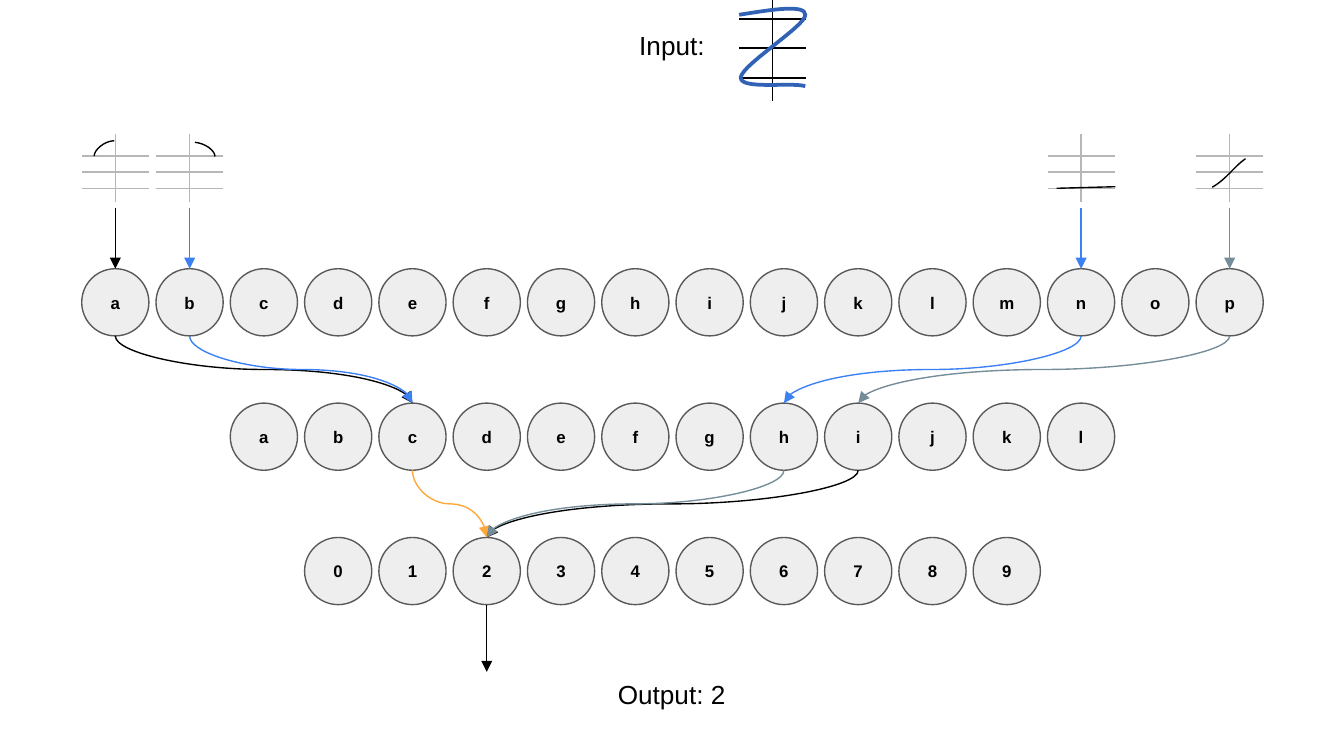
from lxml.etree import SubElement
from pptx import Presentation
from pptx.dml.color import RGBColor
from pptx.enum.shapes import MSO_CONNECTOR, MSO_SHAPE
from pptx.enum.text import MSO_ANCHOR, MSO_AUTO_SIZE, PP_ALIGN
from pptx.oxml.ns import qn
from pptx.util import Cm, Pt

BLACK = RGBColor(0x00, 0x00, 0x00)
NODE_FILL = RGBColor(0xEE, 0xEE, 0xEE)
NODE_LINE = RGBColor(0x59, 0x59, 0x59)
GUIDE = RGBColor(0xB7, 0xB7, 0xB7)
BLUE = RGBColor(0x3C, 0x81, 0xF3)
SLATE = RGBColor(0x74, 0x8D, 0x99)
ORANGE = RGBColor(0xFE, 0xA8, 0x3A)
INK = RGBColor(0x31, 0x62, 0xB5)

# All lengths below are in centimetres.
MIDDLE = 12.71
PITCH = 21.06 / 15
DIAMETER = 1.27
LAYERS = {"first": ("abcdefghijklmnop", 5.08),
          "second": ("abcdefghijkl", 7.62),
          "digits": ("0123456789", 10.16)}
LINKS = [("first", "a", "second", "c", BLACK),
         ("first", "b", "second", "c", BLUE),
         ("first", "n", "second", "h", BLUE),
         ("first", "p", "second", "i", SLATE),
         ("second", "c", "digits", "2", ORANGE),
         ("second", "i", "digits", "2", BLACK),
         ("second", "h", "digits", "2", SLATE)]

# Bezier points of each feature, measured from the top middle of its guides.
GLYPH_TOP = 2.54
MIDLINE = (GUIDE, [(-0.42, 0.71), (-0.13, 0.71), (0.16, 0.71), (0.46, 0.71)])
FEATURES = {
    "a": (BLACK, [(BLACK, [(-0.02, 0.12), (-0.22, 0.13), (-0.4, 0.3), (-0.4, 0.41)])]),
    "b": (BLUE, [(BLACK, [(0.1, 0.15), (0.29, 0.17), (0.48, 0.3), (0.48, 0.42)])]),
    "n": (BLUE, [MIDLINE, (BLACK, [(-0.46, 1.02), (-0.09, 1.01), (0.28, 1), (0.65, 0.99)])]),
    "p": (SLATE, [MIDLINE, (BLACK, [(0.3, 0.46), (0.08, 0.61), (-0.05, 0.84), (-0.33, 1)])]),
}
INPUT_MIDDLE = 14.6
INPUT_STROKE = [(-0.63, 0.28), (0, 0.18), (0.62, 0.08), (0.62, 0.28),
                (0.64, 0.48), (-0.6, 1.24), (-0.6, 1.47),
                (-0.6, 1.7), (0.36, 1.55), (0.62, 1.63)]


def style_text(frame, text, size, bold=False):
    para = frame.paragraphs[0]
    para.alignment = PP_ALIGN.CENTER
    span = para.add_run()
    span.text = text
    span.font.color.rgb = BLACK
    for name, value in {"name": "Arial", "size": Pt(size), "bold": bold}.items():
        setattr(span.font, name, value)


def add_caption(page, text, left, top, width):
    box = page.shapes.add_textbox(Cm(left), Cm(top), Cm(width), Cm(0.86))
    box.text_frame.word_wrap = True
    box.text_frame.auto_size = MSO_AUTO_SIZE.SHAPE_TO_FIT_TEXT
    style_text(box.text_frame, text, 14)


def add_node(page, label, left, top):
    node = page.shapes.add_shape(MSO_SHAPE.OVAL, Cm(left), Cm(top), Cm(DIAMETER), Cm(DIAMETER))
    node.shadow.inherit = False
    node.fill.solid()
    node.fill.fore_color.rgb = NODE_FILL
    node.line.color.rgb = NODE_LINE
    node.line.width = Pt(0.75)
    frame = node.text_frame
    margins = dict.fromkeys(("margin_left", "margin_top", "margin_right", "margin_bottom"), Cm(0.25))
    for name, value in {**margins, "word_wrap": True, "vertical_anchor": MSO_ANCHOR.MIDDLE}.items():
        setattr(frame, name, value)
    style_text(frame, label, 9, bold=True)
    return node


def add_layer(page, labels, top):
    """Add a centred row of nodes and return them by label."""
    left = MIDDLE - ((len(labels) - 1) * PITCH + DIAMETER) / 2
    return {label: add_node(page, label, left + i * PITCH, top) for i, label in enumerate(labels)}


def add_line(shapes, start, end, color, width=0.75, kind=MSO_CONNECTOR.STRAIGHT, arrow=False):
    line = shapes.add_connector(kind, *start, *end)
    line.line.color.rgb = color
    line.line.width = Pt(width)
    if arrow:
        SubElement(line.line._get_or_add_ln(), qn("a:tailEnd"), type="triangle")
    SubElement(line._element.spPr, qn("a:effectLst"))
    return line


def center_x(node):
    return node.left + node.width // 2


def add_link(page, source, target, color):
    """Add a curve that leaves the source downwards: a turned S-connector."""
    x1, y1 = center_x(source), source.top + source.height
    x2, y2 = center_x(target), target.top
    middle_x, middle_y = (x1 + x2) // 2, (y1 + y2) // 2
    half_drop, half_run = (y2 - y1) // 2, abs(x2 - x1) // 2
    link = add_line(page.shapes, (middle_x - half_drop, middle_y - half_run),
                    (middle_x + half_drop, middle_y + half_run),
                    color, kind=MSO_CONNECTOR.CURVE, arrow=True)
    xfrm = link._element.spPr.find(qn("a:xfrm"))
    xfrm.set("rot", str((270 if x2 > x1 else 90) * 60000))
    if x2 > x1:
        xfrm.set("flipH", "1")


def add_stroke(shapes, points, color, width):
    """Add an open outline, turning each three points after the first into a Bezier."""
    builder = shapes.build_freeform(*points[0], scale=1.0)
    builder.add_line_segments(points[1:], close=False)
    stroke = builder.convert_to_shape()
    stroke.shadow.inherit = False
    stroke.fill.background()
    stroke.line.color.rgb = color
    stroke.line.width = Pt(width)
    outline = next(stroke._element.iter(qn("a:path")))
    segments = outline.findall(qn("a:lnTo"))
    for i in range(0, len(segments), 3):
        curve = SubElement(outline, qn("a:cubicBezTo"))
        for segment in segments[i:i + 3]:
            curve.append(segment[0])
            outline.remove(segment)


def add_glyph(page, middle, top, height, rows, color, width, strokes, stroke_width):
    """Add a group of one vertical guide, horizontal guides and pen strokes."""
    shapes = page.shapes.add_group_shape().shapes
    half = Cm(DIAMETER / 2)
    add_line(shapes, (middle, Cm(top)), (middle, Cm(top + height)), color, width)
    for row in rows:
        y = Cm(top + row)
        add_line(shapes, (middle - half, y), (middle + half, y), color, width)
    for stroke_color, offsets in strokes:
        points = [(middle + Cm(x), Cm(top + y)) for x, y in offsets]
        add_stroke(shapes, points, stroke_color, stroke_width)


def main():
    deck = Presentation()
    deck.slide_width, deck.slide_height = Cm(25.4), Cm(14.29)
    page = deck.slides.add_slide(deck.slide_layouts[6])

    layers = {name: add_layer(page, *layer) for name, layer in LAYERS.items()}
    for source_layer, source, target_layer, target, color in LINKS:
        add_link(page, layers[source_layer][source], layers[target_layer][target], color)

    add_caption(page, "Input:", 10.01, 0.43, 5.38)
    add_caption(page, "Output: 2", 9.42, 12.7, 6.55)

    for label, (_, strokes) in FEATURES.items():
        add_glyph(page, center_x(layers["first"][label]), GLYPH_TOP, DIAMETER,
                  (0.41, 0.71, 1.02), GUIDE, 0.75, strokes, 0.75)
    add_glyph(page, Cm(INPUT_MIDDLE), 0, 1.9, (0.36, 0.91, 1.47), BLACK, 1,
              [(INK, INPUT_STROKE)], 2)

    answer = layers["digits"]["2"]
    x = center_x(answer)
    add_line(page.shapes, (x, answer.top + answer.height), (x, Cm(12.7)), BLACK, arrow=True)
    for label, (color, _) in FEATURES.items():
        node = layers["first"][label]
        x = center_x(node)
        arrow = add_line(page.shapes, (x, Cm(3.93)), (x, node.top), color, arrow=True)
        arrow.end_connect(node, 0)

    deck.save("out.pptx")


if __name__ == "__main__":
    main()
